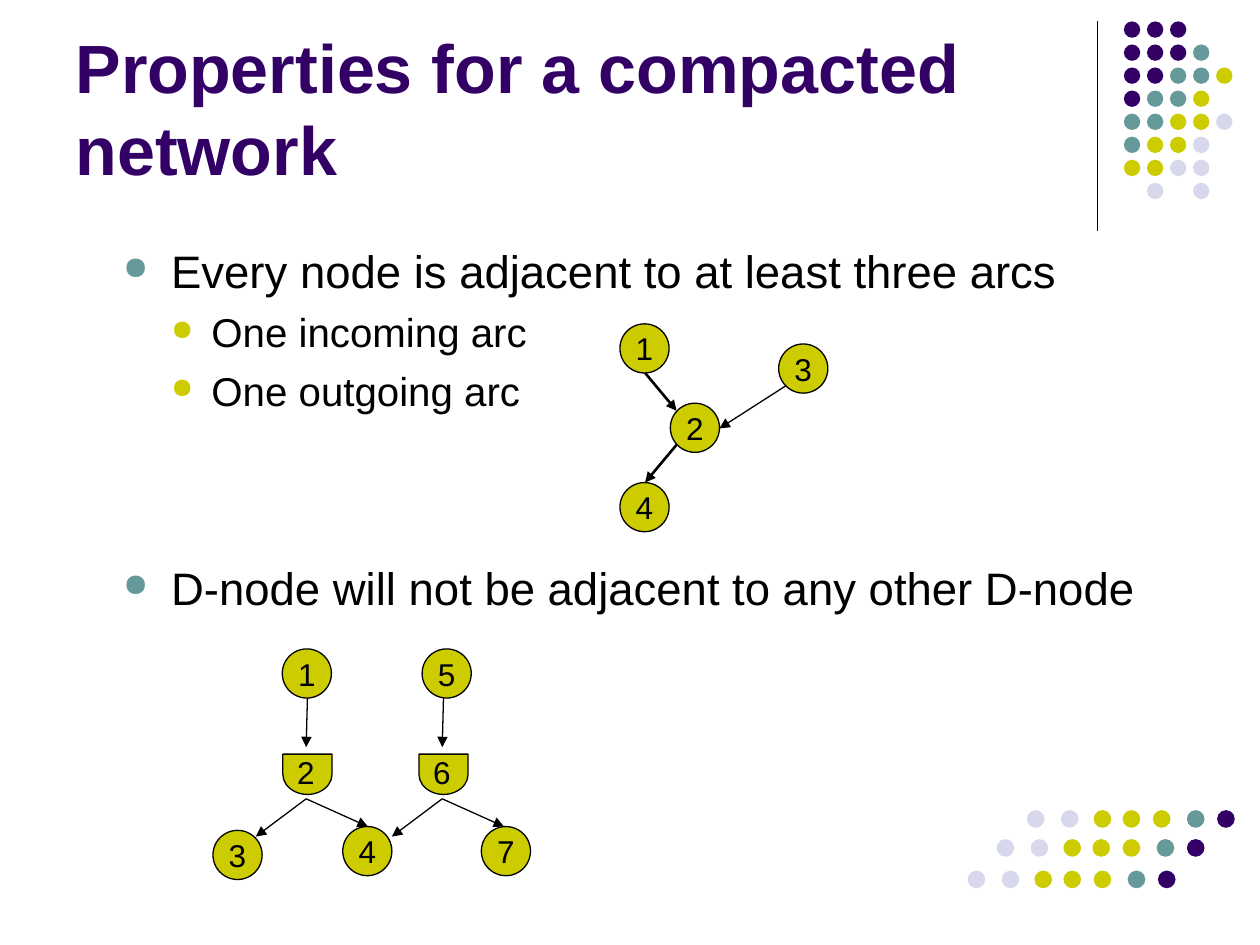
"""Build the slide on properties of a compacted network."""
from lxml import etree
from pptx import Presentation
from pptx.dml.color import RGBColor
from pptx.enum.shapes import MSO_CONNECTOR, MSO_SHAPE
from pptx.enum.text import MSO_ANCHOR, PP_ALIGN
from pptx.oxml.ns import qn
from pptx.util import Inches, Pt

OVAL = MSO_SHAPE.OVAL
DELAY = MSO_SHAPE.FLOWCHART_DELAY
STRAIGHT = MSO_CONNECTOR.STRAIGHT
MIDDLE = MSO_ANCHOR.MIDDLE
BOTTOM = MSO_ANCHOR.BOTTOM
CENTER = PP_ALIGN.CENTER
LEFT = PP_ALIGN.LEFT
BLACK = RGBColor(0x00, 0x00, 0x00)
PURPLE = RGBColor(0x33, 0x00, 0x66)
TEAL = RGBColor(0x66, 0x99, 0x99)
LIME = RGBColor(0xCC, 0xCC, 0x00)
PALE = RGBColor(0xD8, 0xD8, 0xEC)
HUES = {"P": PURPLE, "T": TEAL, "L": LIME, "G": PALE}
FONT = "Arial"
NODE = 0.39

prs = Presentation()
prs.slide_width, prs.slide_height = Inches(10), Inches(7.5)
slide = prs.slides.add_slide(prs.slide_layouts[5])
shapes = slide.shapes


def add_form(kind, x, y, w, h, fill, edge=False):
    form = shapes.add_shape(kind, Inches(x), Inches(y), Inches(w), Inches(h))
    form.shadow.inherit = False
    form.fill.solid()
    form.fill.fore_color.rgb = fill
    if edge:
        form.line.color.rgb = BLACK
        form.line.width = Pt(0.75)
    else:
        form.line.fill.background()
    return form


def add_line(x1, y1, x2, y2, width=0.75, arrow=True):
    line = shapes.add_connector(STRAIGHT, Inches(x1), Inches(y1), Inches(x2), Inches(y2))
    line.line.color.rgb = BLACK
    line.line.width = Pt(width)
    props = line._element.spPr
    if arrow:
        etree.SubElement(props.find(qn("a:ln")), qn("a:tailEnd"), type="triangle")
    etree.SubElement(props, qn("a:effectLst"))


add_line(8.71, 0.17, 8.71, 1.83, arrow=False)
corner = ["PPP", "PPPT", "PPTTL", "PTTL", "TTLLG", "TLLG", "LLGG", " G G"]
for row, marks in enumerate(corner):
    for col, mark in enumerate(marks):
        if mark in HUES:
            add_form(OVAL, 8.92 + col * 0.183, 0.17 + row * 0.183, 0.13, 0.13, HUES[mark])

title = shapes.title
title.left, title.top = Inches(0.5), Inches(0.13)
title.width, title.height = Inches(8.25), Inches(1.42)
frame = title.text_frame
frame.text = "Properties for a compacted network"
frame.word_wrap = True
frame.vertical_anchor = BOTTOM
para = frame.paragraphs[0]
para.alignment = LEFT
para.font.name = FONT
para.font.size = Pt(39)
para.font.bold = True
para.font.color.rgb = PURPLE

body = shapes.add_textbox(Inches(0.5), Inches(1.88), Inches(9), Inches(4))
frame = body.text_frame
frame.word_wrap = True
points = [
    ("Every node is adjacent to at least three arcs", 0, 0),
    ("One incoming arc", 1, 5.8),
    ("One outgoing arc", 1, 5.8),
    ("D-node will not be adjacent to any other D-node", 0, 83),
]
levels = [(26, 0.76, 0.38, TEAL), (23, 1.08, 0.32, LIME)]
for i, (text, level, gap) in enumerate(points):
    size, margin, hang, hue = levels[level]
    para = frame.add_paragraph() if i else frame.paragraphs[0]
    para.text = text
    para.level = level
    para.space_before = Pt(gap)
    props = para._p.get_or_add_pPr()
    props.set("marL", str(Inches(margin)))
    props.set("indent", str(-Inches(hang)))
    tint = etree.SubElement(props, qn("a:buClr"))
    etree.SubElement(tint, qn("a:srgbClr"), val=str(hue))
    etree.SubElement(props, qn("a:buSzPct"), val="70000")
    etree.SubElement(props, qn("a:buChar"), char="●")
    para.font.name = FONT
    para.font.size = Pt(size)
    para.font.color.rgb = BLACK

for x, y in [(2.28, 5.95), (3.36, 5.95)]:
    gate = add_form(DELAY, x, y, 0.32, NODE, LIME, True)
    gate.rotation = 90

nodes = [
    ("1", 4.92, 2.57), ("3", 6.18, 2.73), ("2", 5.32, 3.2), ("4", 4.92, 3.83),
    ("1", 2.24, 5.15), ("5", 3.35, 5.15),
    ("3", 1.69, 6.59), ("4", 2.72, 6.56), ("7", 3.82, 6.56),
]
labels = []
for text, x, y in nodes:
    node = add_form(OVAL, x, y, NODE, NODE, LIME, True)
    node.text_frame.vertical_anchor = MIDDLE
    labels.append((node, text, CENTER))
for text, x in [("2", 2.26), ("6", 3.34)]:
    box = shapes.add_textbox(Inches(x), Inches(5.93), Inches(0.34), Inches(0.4))
    labels.append((box, text, LEFT))
for form, text, align in labels:
    frame = form.text_frame
    frame.text = text
    frame.word_wrap = False
    para = frame.paragraphs[0]
    para.alignment = align
    para.font.name = FONT
    para.font.size = Pt(18)
    para.font.color.rgb = BLACK

add_line(5.12, 2.96, 5.37, 3.26, 1.5)
add_line(5.37, 3.53, 5.12, 3.83, 1.5)
add_line(6.24, 3.06, 5.71, 3.4)
for x in (2.43, 3.51):
    add_line(x + 0.01, 5.54, x, 5.93)
    add_line(x, 6.34, x - 0.4, 6.64)
    add_line(x, 6.34, x + 0.49, 6.56)

steps = [0, 0.27, 0.53, 0.76, 1, 1.27, 1.51]
for x, y in [(8.15, 6.43), (7.91, 6.66), (7.68, 6.91)]:
    for step, mark in zip(steps, "GGLLLTP"):
        add_form(OVAL, x + step, y, 0.14, 0.14, HUES[mark])

prs.save("out.pptx")
